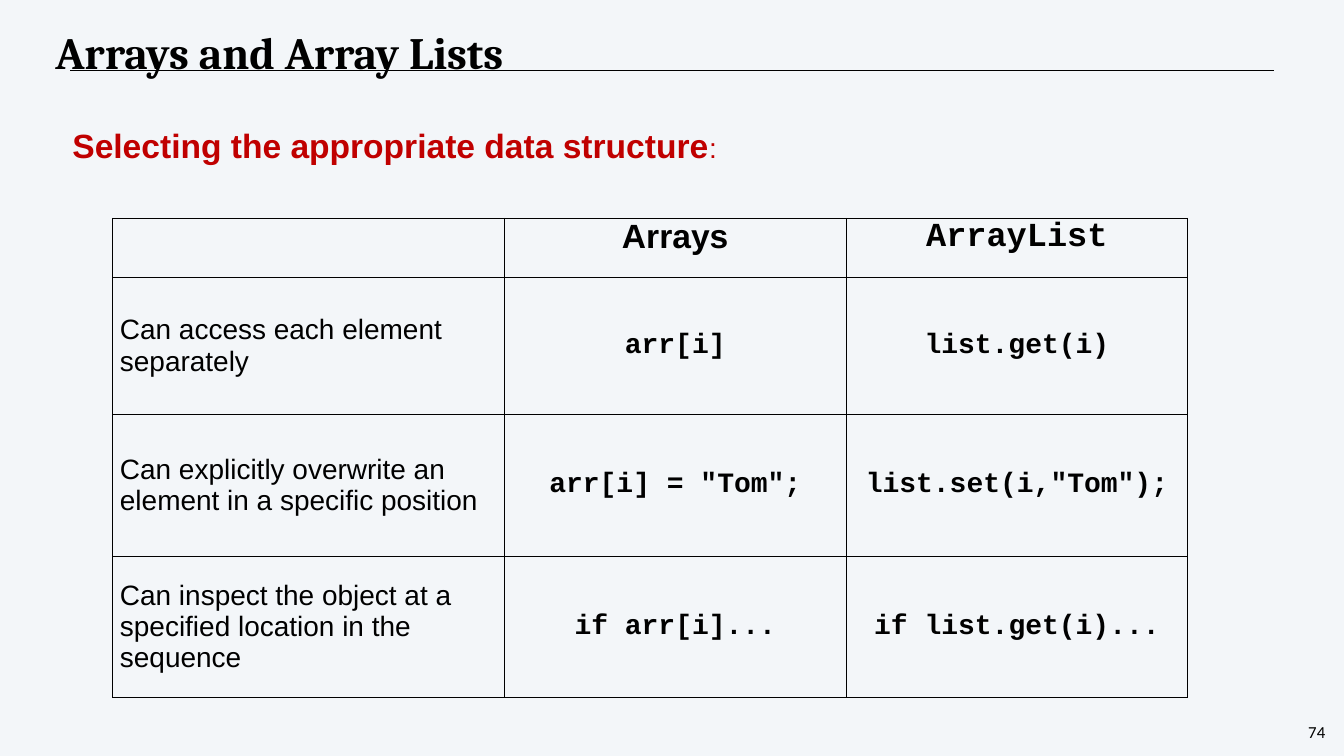
from dataclasses import dataclass

from lxml import etree
from pptx import Presentation
from pptx.dml.color import RGBColor
from pptx.enum.shapes import MSO_CONNECTOR
from pptx.enum.text import MSO_ANCHOR, MSO_AUTO_SIZE, PP_ALIGN
from pptx.oxml.ns import qn
from pptx.slide import Slide
from pptx.table import _Cell
from pptx.text.text import TextFrame, _Paragraph, _Run
from pptx.util import Inches, Length, Pt

LEFT, CENTER = PP_ALIGN.LEFT, PP_ALIGN.CENTER
TOP, MIDDLE = MSO_ANCHOR.TOP, MSO_ANCHOR.MIDDLE
STRAIGHT = MSO_CONNECTOR.STRAIGHT
NO_FIT = MSO_AUTO_SIZE.NONE
TITLE_ONLY = 5
WIDE, HIGH = Inches(26.67), Inches(15)


@dataclass(frozen=True)
class Theme:
    paper: str = "F3F6F9"
    ink: str = "000000"
    red: str = "C00000"
    serif: str = "Cambria"
    sans: str = "Arial"
    code: str = "Courier New"
    small: str = "Calibri"
    title: int = 64
    head: int = 48
    body: int = 40
    page: int = 24
    rule: int = 1


@dataclass(frozen=True)
class Box:
    x: float
    y: float
    w: float
    h: float

    def place(self) -> tuple[Length, Length, Length, Length]:
        return across(self.x), down(self.y), across(self.w), down(self.h)


@dataclass(frozen=True)
class Style:
    font: str
    size: int
    bold: bool = True
    color: str = "000000"


@dataclass(frozen=True)
class Row:
    high: float
    task: str
    array: str
    lists: str


THEME = Theme()
TITLE = Box(3.9, 2.93, 62.88, 10.27)
HEAD = Box(3.75, 16.2, 51.22, 6.07)
PAGE = Box(97.19, 95.27, 1.57, 3.2)
TABLE = Box(8.36, 28.87, 80, 63.4)
RULE = Box(5.21, 9.33, 89.58, 0)
COLS = (29.17, 25.42, 25.42)
ROWS = (
    Row(7.8, "", "Arrays", "ArrayList"),
    Row(18.13, "Can access each element separately", "arr[i]", "list.get(i)"),
    Row(18.73, "Can explicitly overwrite an element in a specific position",
        'arr[i] = "Tom";', 'list.set(i,"Tom");'),
    Row(18.73, "Can inspect the object at a specified location in the sequence",
        "if arr[i]...", "if list.get(i)..."),
)


def across(share: float) -> Length:
    return Length(round(WIDE * share / 100))


def down(share: float) -> Length:
    return Length(round(HIGH * share / 100))


def paint(run: _Run, style: Style) -> None:
    font = run.font
    font.name, font.size, font.bold = style.font, Pt(style.size), style.bold
    font.color.rgb = RGBColor.from_string(style.color)


def write(frame: TextFrame, text: str, style: Style, align: PP_ALIGN) -> _Paragraph:
    frame.text = text
    para = frame.paragraphs[0]
    para.alignment = align
    for run in para.runs:
        paint(run, style)
    return para


def inset(frame: TextFrame, gap: float) -> None:
    frame.margin_left = frame.margin_right = Inches(gap)
    frame.margin_top = frame.margin_bottom = Inches(gap)


def draw_rule(slide: Slide) -> None:
    x, y, w, h = RULE.place()
    line = slide.shapes.add_connector(STRAIGHT, x, y, x + w, y + h)
    line.line.color.rgb = RGBColor.from_string(THEME.ink)
    line.line.width = Pt(THEME.rule)
    etree.SubElement(line._element.spPr, qn("a:effectLst"))


def draw_title(slide: Slide) -> None:
    shape = slide.shapes.title
    shape.left, shape.top, shape.width, shape.height = TITLE.place()
    frame = shape.text_frame
    frame.auto_size, frame.vertical_anchor = NO_FIT, MIDDLE
    frame.word_wrap = True
    inset(frame, 0.06)
    style = Style(THEME.serif, THEME.title)
    para = write(frame, "Arrays and Array Lists", style, LEFT)
    para.line_spacing, para.space_before = Pt(50), Pt(0)


def draw_head(slide: Slide) -> None:
    frame = slide.shapes.add_textbox(*HEAD.place()).text_frame
    frame.word_wrap = True
    style = Style(THEME.sans, THEME.head, color=THEME.red)
    para = write(frame, "Selecting the appropriate data structure", style, CENTER)
    colon = para.add_run()
    colon.text = ":"
    paint(colon, Style(THEME.sans, THEME.body, False, THEME.red))


def draw_page(slide: Slide) -> None:
    frame = slide.shapes.add_textbox(*PAGE.place()).text_frame
    frame.word_wrap = False
    inset(frame, 0.04)
    para = write(frame, "74", Style(THEME.small, THEME.page, False), CENTER)
    para.line_spacing = Pt(28)


def edge(cell: _Cell) -> None:
    props = cell._tc.get_or_add_tcPr()
    for spot, side in enumerate(("lnL", "lnR", "lnT", "lnB")):
        line = etree.Element(qn(f"a:{side}"), w=str(Pt(THEME.rule)))
        fill = etree.SubElement(line, qn("a:solidFill"))
        etree.SubElement(fill, qn("a:srgbClr"), val=THEME.ink)
        props.insert(spot, line)


def draw_table(slide: Slide) -> None:
    table = slide.shapes.add_table(len(ROWS), len(COLS), *TABLE.place()).table
    table.first_row = table.horz_banding = False
    for col, share in zip(table.columns, COLS):
        col.width = across(share)
    for r, row in enumerate(ROWS):
        table.rows[r].height = down(row.high)
        size = THEME.body if r else THEME.head
        plain = Style(THEME.sans, size, not r)
        code = Style(THEME.code, size)
        styles = (plain, code if r else plain, code)
        for c, text in enumerate((row.task, row.array, row.lists)):
            cell = table.cell(r, c)
            cell.fill.background()
            edge(cell)
            cell.margin_left = cell.margin_right = Inches(0.15)
            cell.margin_top = cell.margin_bottom = 0
            cell.vertical_anchor = MIDDLE if r else TOP
            write(cell.text_frame, text, styles[c], CENTER if c else LEFT)


def main() -> None:
    deck = Presentation()
    deck.slide_width, deck.slide_height = WIDE, HIGH
    slide = deck.slides.add_slide(deck.slide_layouts[TITLE_ONLY])
    fill = slide.background.fill
    fill.solid()
    fill.fore_color.rgb = RGBColor.from_string(THEME.paper)
    draw_rule(slide)
    draw_title(slide)
    draw_head(slide)
    draw_table(slide)
    draw_page(slide)
    deck.save("out.pptx")


if __name__ == "__main__":
    main()
